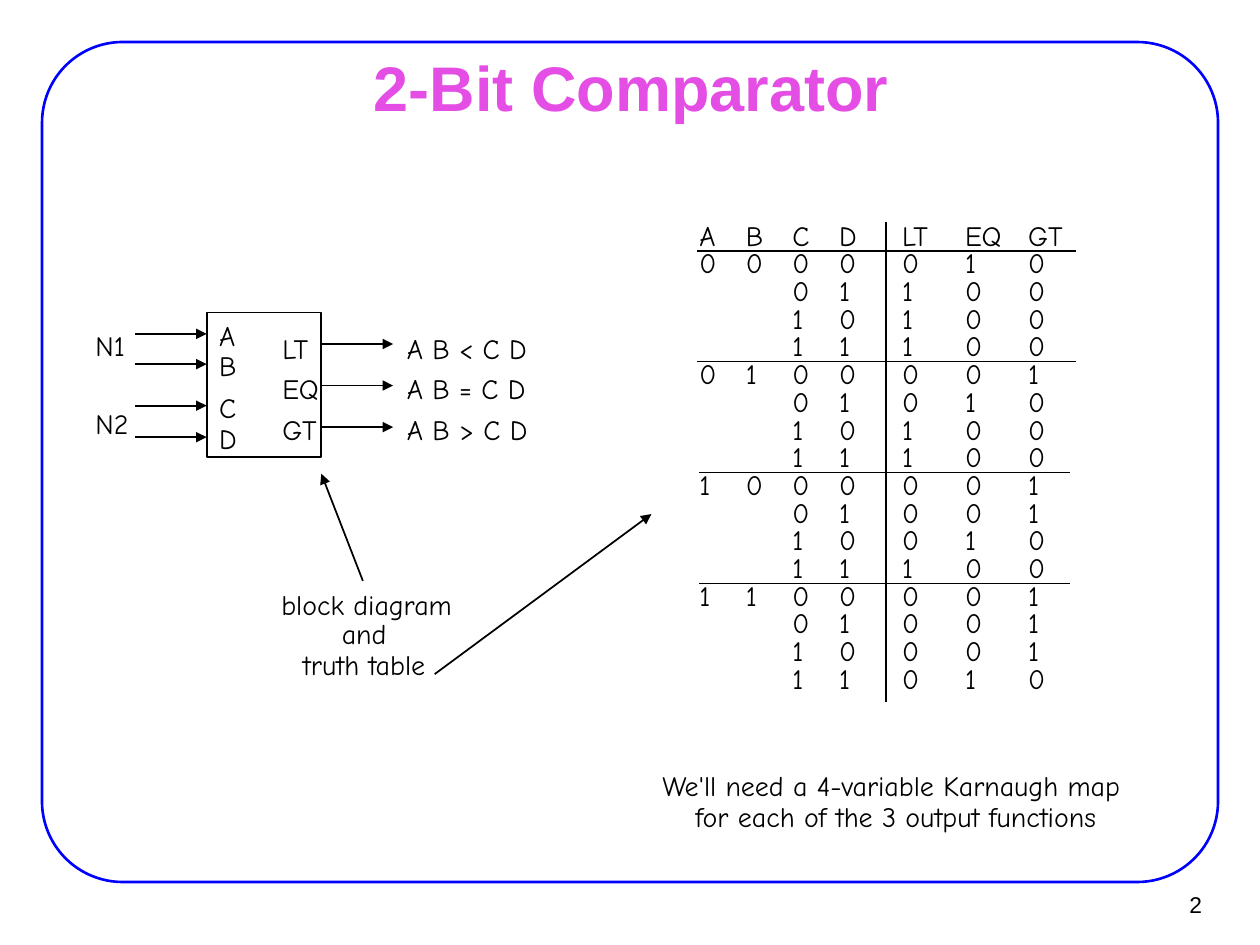
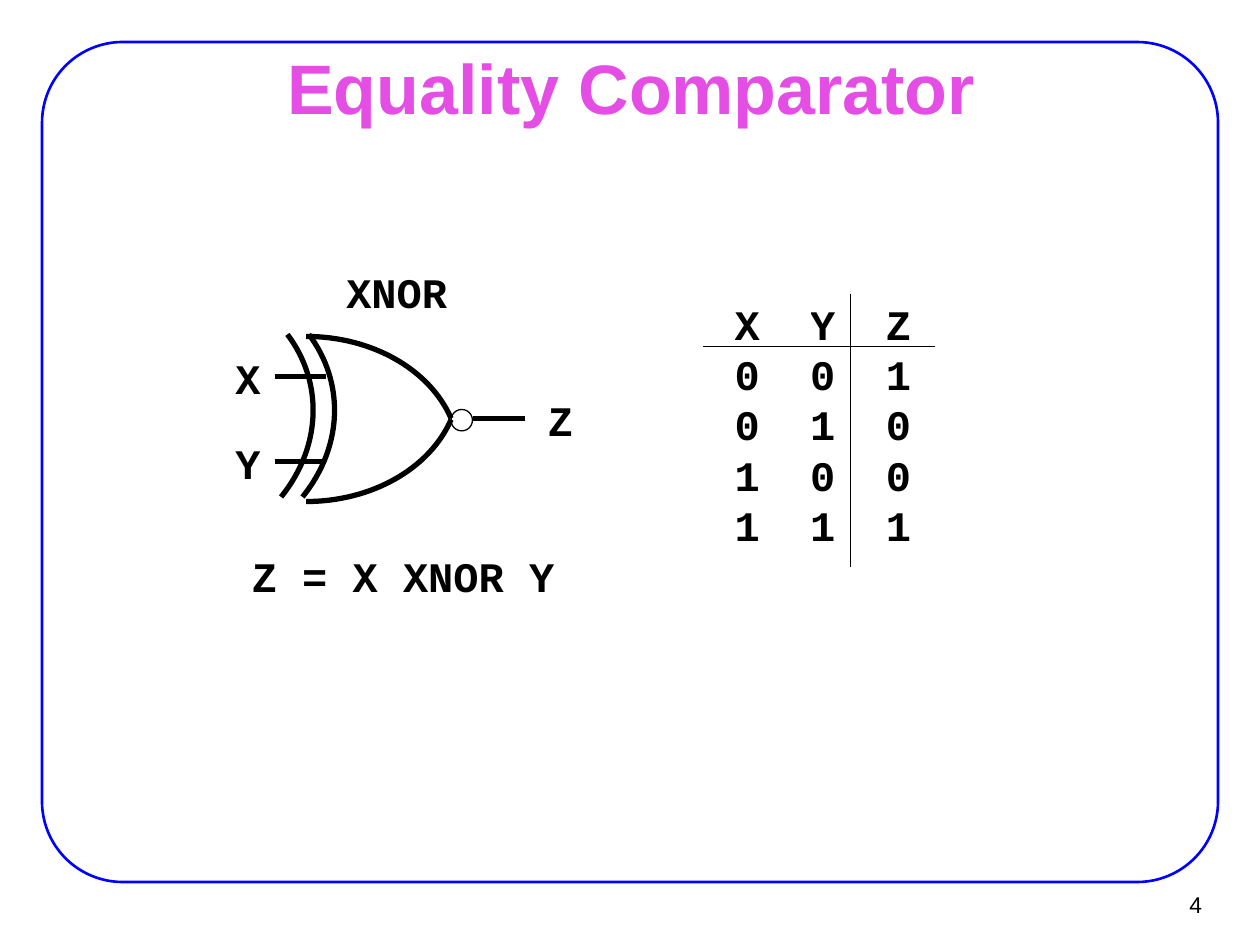
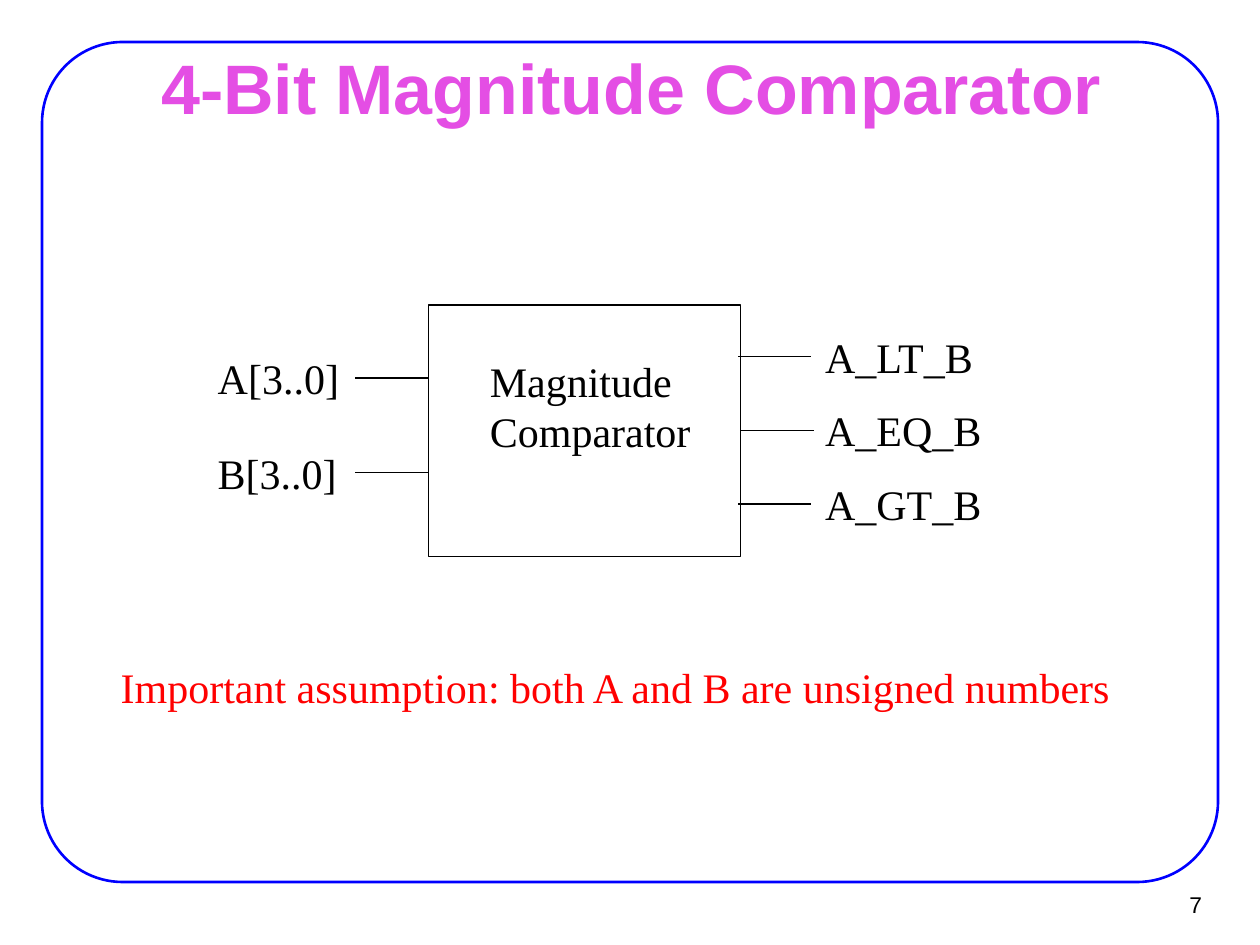
from itertools import product
from math import cos, radians, sin

from lxml.etree import SubElement
from pptx import Presentation
from pptx.dml.color import RGBColor
from pptx.enum.shapes import MSO_CONNECTOR as Connector, MSO_SHAPE as Shape
from pptx.enum.text import MSO_ANCHOR as Anchor, PP_ALIGN as Align
from pptx.oxml.ns import qn
from pptx.util import Inches, Pt

WIDTH, HEIGHT = 10, 7.5
COLORS = {"frame": "0000FF", "title": "E44EE4", "ink": "000000", "alert": "FF0000"}
STYLES = {
    "title": {"name": "Arial", "size": 40, "bold": True, "color": "title"},
    "small title": {"name": "Arial", "size": 36, "bold": True, "color": "title"},
    "number": {"name": "Arial", "size": 13, "color": "ink"},
    "hand": {"name": "Comic Neue", "size": 16, "color": "ink"},
    "code": {"name": "Courier New", "size": 24, "bold": True, "color": "ink"},
    "serif": {"name": "Times New Roman", "size": 24, "color": "ink"},
    "alert": {"name": "Times New Roman", "size": 24, "color": "alert"},
}
TIGHT = (0.02, 0.03)
ROOMY = (0.1, 0.05)

# ---- Content ----
SLIDES = [
    ("2-Bit Comparator", "small title", "2"),
    ("Equality Comparator", "title", "4"),
    ("4-Bit Magnitude Comparator", "title", "7"),
]

INPUT_PINS = [("A", 2.65), ("B", 2.89), ("C", 3.22), ("D", 3.47)]
INPUT_NUMBERS = [("N1", 2.56), ("N2", 3.18)]
OUTPUT_PINS = ["LT", "EQ", "GT"]
OUTPUT_MEANINGS = ["A B < C D", "A B = C D", "A B > C D"]
KARNAUGH_NOTE = ["We'll need a 4-variable Karnaugh map \vfor each of the 3 output functions"]
TRUTH_HEADER = ["A", "B", "C", "D", "LT", "EQ", "GT"]

XNOR_TABLE = ["XYZ", "001", "010", "100", "111"]
GATE_LABELS = [  # text, left, top, width
    ("XNOR", 2.65, 2.07, 1),
    ("X", 1.77, 2.75, 0.4),
    ("Y", 1.77, 3.42, 0.4),
    ("Z", 4.25, 3.08, 0.4),
    ("Z = X XNOR Y", 1.9, 4.32, 2.6),
]
GATE_WIRES = [(2.18, 2.59, 2.99), (2.18, 2.59, 3.66), (3.75, 4.17, 3.32)]
# Each curve: the far corner of its frame, then the four curve points
GATE_TOP = [(2.43, 3.66), (2.43, 2.67), (2.95, 2.67), (3.41, 2.93), (3.58, 3.32)]
GATE_BACK = [(1.66, 3.28), (2.45, 2.66), (2.73, 3.03), (2.73, 3.54), (2.4, 3.95)]
GATE_BACK_CENTER = (2.33, 3.23)
GATE_BACK_ANGLE = 38.9
GATE_BACK_GAP = 0.17

MAGNITUDE_INPUTS = ["A[3..0]", "B[3..0]"]
MAGNITUDE_OUTPUTS = [("A_LT_B", 5.86), ("A_EQ_B", 5.88), ("A_GT_B", 5.86)]
ASSUMPTION = "Important assumption: both A and B are unsigned numbers"


# ---- Helpers ----
def color(name):
    """Return a named colour."""
    return RGBColor.from_string(COLORS[name])


def write(frame, lines, style, align=Align.LEFT, spacing=None):
    """Write one styled paragraph for each line."""
    for index, line in enumerate(lines):
        paragraph = frame.add_paragraph() if index else frame.paragraphs[0]
        paragraph.text = line
        paragraph.alignment = align
        if spacing:
            paragraph.line_spacing = spacing
        if not line:  # keeps an empty cell from stretching its row
            SubElement(paragraph._p, qn("a:endParaRPr"), sz="800")
        for run in paragraph.runs:
            for key, value in STYLES[style].items():
                if key == "color":
                    run.font.color.rgb = color(value)
                else:
                    setattr(run.font, key, Pt(value) if key == "size" else value)


def set_margins(target, across, down):
    """Set the insets of a text frame or a cell."""
    for side, value in zip(("left", "right", "top", "bottom"), (across, across, down, down)):
        setattr(target, "margin_" + side, Inches(value))


def add_text(slide, box, lines, style, margins=ROOMY, wrap=False,
             anchor=Anchor.TOP, **paragraph_format):
    """Add a text box; box is left, top, width, height."""
    frame = slide.shapes.add_textbox(*map(Inches, box)).text_frame
    frame.word_wrap = wrap
    frame.vertical_anchor = anchor
    set_margins(frame, *margins)
    write(frame, lines, style, **paragraph_format)


def outline(shape, weight, line_color="ink"):
    """Leave a shape with only an outline."""
    shape.shadow.inherit = False
    shape.fill.background()
    shape.line.color.rgb = color(line_color)
    shape.line.width = Pt(weight)


def add_outline(slide, kind, box, weight, line_color="ink"):
    """Add an unfilled preset shape."""
    shape = slide.shapes.add_shape(kind, *map(Inches, box))
    outline(shape, weight, line_color)
    return shape


def add_line(slide, start, end, weight, arrow=False):
    """Add a straight line, with an arrowhead at its end if wanted."""
    line = slide.shapes.add_connector(Connector.STRAIGHT, *map(Inches, start + end))
    line.line.color.rgb = color("ink")
    line.line.width = Pt(weight)
    if arrow:
        SubElement(line.line._get_or_add_ln(), qn("a:tailEnd"), type="triangle")
    SubElement(line._element.spPr, qn("a:effectLst"))


def add_curve(slide, points, weight):
    """Add an open cubic curve; the first point only widens its frame."""
    corner, start, *rest = [tuple(map(Inches, point)) for point in points]
    builder = slide.shapes.build_freeform(*corner, scale=1.0)
    builder.move_to(*start)
    builder.add_line_segments(rest, close=False)
    shape = builder.convert_to_shape()
    outline(shape, weight)
    contour = shape._element.find(".//" + qn("a:path"))
    contour.remove(contour[0])
    cubic = SubElement(contour, qn("a:cubicBezTo"))
    for segment in contour.findall(qn("a:lnTo")):
        cubic.append(segment[0])
        contour.remove(segment)
    return shape


def turn_back(point, center, angle):
    """Turn a point counterclockwise about a centre."""
    x, y = point[0] - center[0], point[1] - center[1]
    cosine, sine = cos(radians(angle)), sin(radians(angle))
    return center[0] + x * cosine + y * sine, center[1] - x * sine + y * cosine


def add_grid(slide, left, top, widths, row_height, rows, style, spacing=None):
    """Add a plain table without fills or margins."""
    table = slide.shapes.add_table(
        len(rows), len(widths), Inches(left), Inches(top),
        Inches(sum(widths)), Inches(row_height * len(rows))).table
    table.first_row = table.horz_banding = False
    for column, width in zip(table.columns, widths):
        column.width = Inches(width)
    for row, values in zip(table.rows, rows):
        row.height = Inches(row_height)
        for cell, value in zip(row.cells, values):
            cell.fill.background()
            set_margins(cell, 0, 0)
            write(cell.text_frame, [value], style, spacing=spacing)


def add_base(presentation, title, title_style, number):
    """Add a slide with the shared frame, title and number."""
    slide = presentation.slides.add_slide(presentation.slide_layouts[6])
    margin = HEIGHT * 2 / 45
    frame = add_outline(slide, Shape.ROUNDED_RECTANGLE,
                        (margin, margin, WIDTH - 2 * margin, HEIGHT - 2.5 * margin), 1.5, "frame")
    frame.adjustments[0] = 0.096
    add_text(slide, (9.02, 6.99, 0.61, 0.37), [number], "number", (0.09, 0.04),
             anchor=Anchor.MIDDLE, align=Align.RIGHT)
    add_text(slide, (0.76, 0.44, 8.5, 0.49), [title], title_style, (0.11, 0.06),
             wrap=True, anchor=Anchor.MIDDLE, align=Align.CENTER)
    return slide


def truth_rows():
    """Compare every pair of two-bit numbers."""
    rows = [TRUTH_HEADER]
    for a, b, c, d in product((0, 1), repeat=4):
        first, second = (a, b), (c, d)
        shown = ["", ""] if c or d else [str(a), str(b)]
        results = (c, d, first < second, first == second, first > second)
        rows.append(shown + [str(int(value)) for value in results])
    return rows


# ---- Slides ----
def draw_two_bit(slide):
    """Draw the block diagram and its truth table."""
    note = {"style": "hand", "margins": TIGHT, "align": Align.CENTER, "spacing": Pt(17.8)}
    add_text(slide, (4.85, 6.09, 4.52, 0.63), KARNAUGH_NOTE, **note)
    add_text(slide, (1.96, 4.65, 1.9, 0.4), ["block diagram"], **note)
    add_text(slide, (1.94, 4.88, 1.9, 0.63), ["and", "truth table"], **note)
    add_line(slide, (2.88, 4.61), (2.55, 3.76), 1, arrow=True)
    add_line(slide, (3.45, 5.35), (5.17, 4.08), 1, arrow=True)

    left, right, wire = 1.64, 2.55, 0.57
    add_outline(slide, Shape.RECTANGLE, (left, 2.48, right - left, 1.15), 1)
    for label, y in INPUT_PINS:
        add_line(slide, (left - wire, y), (left, y), 1, arrow=True)
        add_text(slide, (left, y - 0.17, 0.36, 0.36), [label], "hand")
    for label, top in INPUT_NUMBERS:
        add_text(slide, (0.66, top, 0.5, 0.36), [label], "hand")
    for index in range(len(OUTPUT_PINS)):
        y = 2.73 + 0.33 * index
        add_line(slide, (right, y), (right + wire, y), 1, arrow=True)
    for x, width, lines in ((2.22, 0.38, OUTPUT_PINS), (3.21, 1.58, OUTPUT_MEANINGS)):
        add_text(slide, (x, 2.55, width, 0.76), lines, "hand", TIGHT, spacing=1.2)

    add_grid(slide, 5.55, 1.79, [0.37] * 3 + [0.5] * 4, 0.22, truth_rows(), "hand", Pt(15.8))
    for index, (start, end) in enumerate([(5.53, 8.54)] * 2 + [(5.55, 8.49)] * 2):
        y = 1.99 + 0.88 * index
        add_line(slide, (start, y), (end, y), 1)
    add_line(slide, (7.03, 1.76), (7.03, 5.57), 1)


def draw_equality(slide):
    """Draw the XNOR gate and its truth table."""
    middle = 3.325
    add_curve(slide, GATE_TOP, 3)
    add_curve(slide, [(x, 2 * middle - y) for x, y in GATE_TOP], 3)
    for shift in (0, GATE_BACK_GAP):
        turned = [turn_back(point, GATE_BACK_CENTER, GATE_BACK_ANGLE) for point in GATE_BACK]
        back = add_curve(slide, [(x - shift, y) for x, y in turned], 3)
        back.rotation = GATE_BACK_ANGLE
    for start, end, y in GATE_WIRES:
        add_line(slide, (start, y), (end, y), 3)
    add_outline(slide, Shape.OVAL, (3.58, 3.25, 0.17, 0.17), 0.75)
    for label, left, top, width in GATE_LABELS:
        add_text(slide, (left, top, width, 0.5), [label], "code")

    add_grid(slide, 5.83, 2.42, [0.6] * 3, 0.4, XNOR_TABLE, "code")
    add_line(slide, (5.58, 2.75), (7.42, 2.75), 0.75)
    add_line(slide, (6.75, 2.33), (6.75, 4.5), 0.75)


def draw_magnitude(slide):
    """Draw the magnitude comparator block with its signals."""
    left, wire = 3.4, 0.58
    add_outline(slide, Shape.RECTANGLE, (left, 2.42, 2.48, 2), 0.75)
    add_text(slide, (3.79, 2.77, 1.97, 0.91), ["Magnitude", "Comparator"], "serif", wrap=True)
    for index, label in enumerate(MAGNITUDE_INPUTS):
        y = 3 + 0.75 * index
        add_line(slide, (left - wire, y), (left, y), 0.75)
        add_text(slide, (1.63, y - 0.25, 1.16, 0.5), [label], "serif")
    for index, (label, start) in enumerate(MAGNITUDE_OUTPUTS):
        y = 2.83 + 0.585 * index
        add_line(slide, (start, y), (start + wire, y), 0.75)
        add_text(slide, (6.45, y - 0.25, 1.44, 0.5), [label], "serif")
    add_text(slide, (0.86, 5.2, 8.12, 0.51), [ASSUMPTION], "alert")


presentation = Presentation()
presentation.slide_width, presentation.slide_height = Inches(WIDTH), Inches(HEIGHT)
for content, draw in zip(SLIDES, (draw_two_bit, draw_equality, draw_magnitude)):
    draw(add_base(presentation, *content))
presentation.save("out.pptx")
